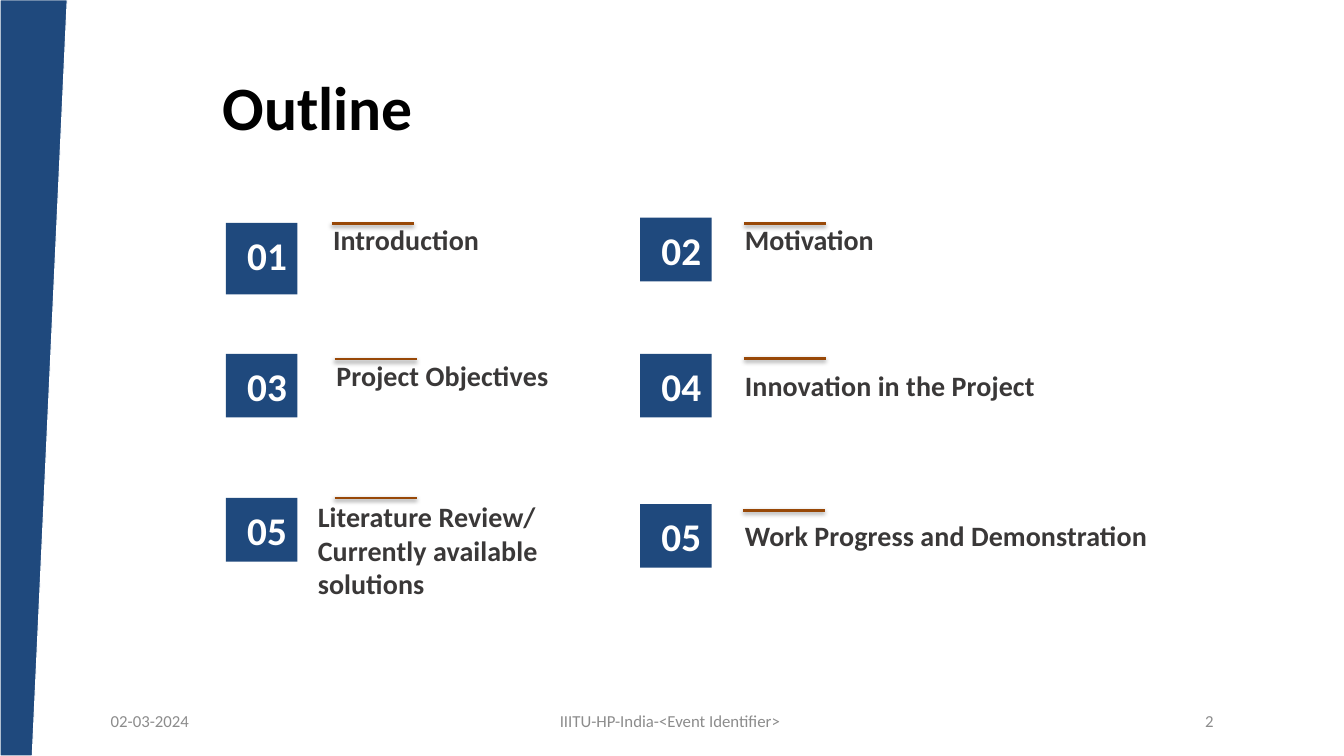
import pptx
import pptx.dml.color
import pptx.enum.shapes
import pptx.enum.text
import pptx.oxml
import pptx.oxml.ns
import pptx.util

Pt = pptx.util.Pt
Align = pptx.enum.text.PP_ALIGN
Anchor = pptx.enum.text.MSO_ANCHOR
Shape = pptx.enum.shapes.MSO_SHAPE
Line = pptx.enum.shapes.MSO_CONNECTOR

WIDE, HIGH = 960, 540
FONT = "Calibri"
PLAIN = "{2D5ABB26-0587-4C30-8999-92F81FD0307C}"
COLORS = {
    "navy": "1F497D",
    "rust": "984807",
    "ink": "3A3838",
    "gray": "8C8C8C",
    "black": "000000",
    "white": "FFFFFF",
}
SHADOW = (
    '<a:effectLst %s><a:outerShdw blurRad="39370" dist="20320" dir="5400000" rotWithShape="0">'
    '<a:srgbClr val="%s"><a:alpha val="38000"/></a:srgbClr></a:outerShdw></a:effectLst>'
)

COLS = (161.3, 457.2)
ROWS = (155.5, 252.7, 355.7)
TOPICS = [
    dict(col=0, row=0, num="01", text="Introduction", box=(3.6, 51.1),
         rule=(75.6, 4.3), label=(75.9, 3.1, 200)),
    dict(col=1, row=0, num="02", text="Motivation", box=(0, 45.5),
         rule=(74.2, 4.3), label=(74.2, 3.1, 205), track=-5),
    dict(col=0, row=1, num="03", text="Project Objectives", box=(0, 45.5),
         rule=(77.8, 3.8), label=(78.3, 3.1, 200)),
    dict(col=1, row=1, num="04", text="Innovation in the Project", box=(0, 45.5),
         rule=(74.2, 3.4), label=(74.2, 10.3, 305)),
    dict(col=0, row=2, num="05", text="Literature Review/\nCurrently available\nsolutions",
         box=(0, 45.5), rule=(77.8, 0), label=(65, 0.9, 305)),
    dict(col=1, row=2, num="05", text="Work Progress and Demonstration", box=(4.3, 45.5),
         rule=(73.5, 8.8), label=(74.2, 14.6, 305)),
]


def paint(color):
    return pptx.dml.color.RGBColor.from_string(COLORS[color])


def write(shape, text, size=20, color="ink", bold=True, align=Align.LEFT, anchor=Anchor.TOP,
          inset=(7.2, 3.6, 7.2, 3.6), indent=0, lead=None, before=0, track=0):
    frame = shape.text_frame
    frame.word_wrap = True
    frame.vertical_anchor = anchor
    frame.margin_left, frame.margin_top, frame.margin_right, frame.margin_bottom = map(Pt, inset)
    for i, words in enumerate(text.split("\n")):
        para = frame.add_paragraph() if i else frame.paragraphs[0]
        para.alignment = align
        para.space_before = Pt(before)
        if lead:
            para.line_spacing = lead
        if indent:
            props = para._p.get_or_add_pPr()
            props.set("marL", str(Pt(indent)))
            props.set("indent", "0")
        run = para.add_run()
        run.text = words
        run.font.name = FONT
        run.font.size = Pt(size)
        run.font.bold = bold
        run.font.color.rgb = paint(color)
        if track:
            run._r.get_or_add_rPr().set("spc", str(track))


def label(slide, text, left, top, width, height, **style):
    area = slide.shapes.add_textbox(Pt(left), Pt(top), Pt(width), Pt(height))
    write(area, text, **style)


def band(slide, left, top, width, height):
    pen = slide.shapes.build_freeform(Pt(left + width), Pt(top))
    pen.add_line_segments([
        (Pt(left), Pt(top)),
        (Pt(left), Pt(top + height)),
        (Pt(left + width * 0.48), Pt(top + height)),
    ], close=True)
    shape = pen.convert_to_shape()
    shape.shadow.inherit = False
    shape.fill.solid()
    shape.fill.fore_color.rgb = paint("navy")
    shape.line.color.rgb = paint("white")
    shape.line.width = Pt(0.75)


def grid(slide, left, top, width, heights):
    frame = slide.shapes.add_table(len(heights), 2, Pt(left), Pt(top), Pt(width),
                                   Pt(sum(heights)))
    table = frame.table
    table.first_row = False
    table.horz_banding = False
    table._tbl.tblPr.find(pptx.oxml.ns.qn("a:tableStyleId")).text = PLAIN
    for row, height in zip(table.rows, heights):
        row.height = Pt(height)
    for cell in table.iter_cells():
        cell.fill.background()


def badge(slide, num, left, top, width, height):
    shape = slide.shapes.add_shape(Shape.RECTANGLE, Pt(left), Pt(top), Pt(width), Pt(height))
    shape.shadow.inherit = False
    shape.fill.solid()
    shape.fill.fore_color.rgb = paint("navy")
    shape.line.fill.background()
    write(shape, num, size=28, color="white", inset=(5.8,) * 4, indent=9.4,
          before=11.8, track=10)


def rule(slide, left, top, width):
    line = slide.shapes.add_connector(Line.STRAIGHT, Pt(left), Pt(top), Pt(left + width), Pt(top))
    line.line.color.rgb = paint("rust")
    line.line.width = Pt(2)
    glow = SHADOW % (pptx.oxml.ns.nsdecls("a"), COLORS["black"])
    line._element.spPr.append(pptx.oxml.parse_xml(glow))


def topic(slide, left, top, item):
    drop, height = item["box"]
    badge(slide, item["num"], left, top + drop, 51.1, height)
    across, down, width = item["label"]
    lines = item["text"].count("\n") + 1
    label(slide, item["text"], left + across, top + down, width, 24.3 * lines,
          inset=(0, 1.4, 0, 0), indent=0.7, lead=Pt(22.8), before=1.2,
          track=item.get("track", 5))
    across, down = item["rule"]
    rule(slide, left + across, top + down, 58.5)


def footer(slide, left, top, width, height):
    style = dict(size=12, color="gray", bold=False, anchor=Anchor.MIDDLE)
    label(slide, "02-03-2024", left, top, 210, height, **style)
    label(slide, "IIITU-HP-India-<Event Identifier> ", left + 246, top, 324, height,
          align=Align.CENTER, **style)
    label(slide, "2", left + width - 196, top, 196, height, align=Align.RIGHT, **style)


def main():
    deck = pptx.Presentation()
    deck.slide_width, deck.slide_height = Pt(WIDE), Pt(HIGH)
    slide = deck.slides.add_slide(deck.slide_layouts[6])
    band(slide, 0, 0, 48, HIGH)
    label(slide, "Outline", 152, 50.4, 722, 57, size=44, color="black",
          anchor=Anchor.MIDDLE, lead=0.9)
    grid(slide, 150.5, 136.8, 584.6, (108, 152.6))
    for item in TOPICS:
        topic(slide, COLS[item["col"]], ROWS[item["row"]], item)
    footer(slide, 72, 500.5, 802, 28.8)
    deck.save("out.pptx")


if __name__ == "__main__":
    main()
